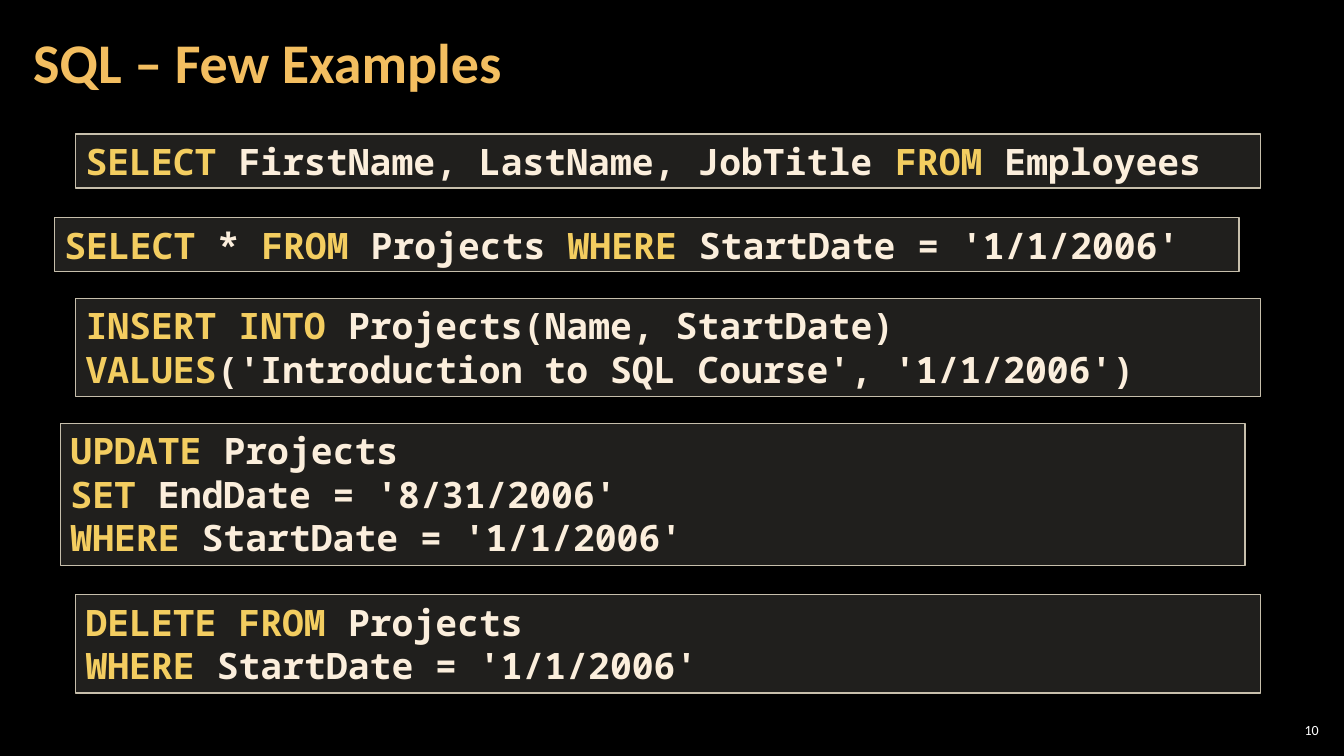
import pptx
import pptx.util
from lxml import etree
from pptx.dml.color import RGBColor
from pptx.enum.shapes import MSO_SHAPE
from pptx.enum.text import MSO_ANCHOR, MSO_AUTO_SIZE, PP_ALIGN
from pptx.oxml.ns import qn
from pptx.util import Inches

BLACK = RGBColor(0x00, 0x00, 0x00)
WHITE = RGBColor(0xFF, 0xFF, 0xFF)
TITLE_GOLD = RGBColor(0xF3, 0xBE, 0x60)
KEYWORD_GOLD = RGBColor(0xF3, 0xCD, 0x60)
CODE_CREAM = RGBColor(0xFB, 0xEE, 0xDC)
PANEL_FILL = RGBColor(0xD9, 0xD5, 0xC7)
PANEL_LINE = RGBColor(0xC7, 0xBF, 0xAC)

PANEL_WIDTH = 11.75
PANEL_PADDING = 0.1
CODE_LINE_HEIGHT = 0.437

EXAMPLES = [
    (0.75, 1.33, ["SELECT| FirstName, LastName, JobTitle |FROM| Employees"]),
    (0.54, 2.16, ["SELECT| * |FROM| Projects |WHERE| StartDate = '1/1/2006'"]),
    (0.75, 2.96, [
        "INSERT INTO| Projects(Name, StartDate)",
        "VALUES|('Introduction to SQL Course', '1/1/2006')",
    ]),
    (0.6, 4.2, [
        "UPDATE| Projects",
        "SET |EndDate = '8/31/2006'",
        "WHERE| StartDate = '1/1/2006'",
    ]),
    (0.75, 5.9, [
        "DELETE FROM| Projects",
        "WHERE| StartDate = '1/1/2006'",
    ]),
]


class SqlSlide:
    text_font = "Calibri"
    code_font = "Noto Sans Mono"
    code_size = 26

    def __init__(self, deck):
        self.page = deck.slides.add_slide(deck.slide_layouts[6])
        self.page.background.fill.solid()
        self.page.background.fill.fore_color.rgb = BLACK

    def style(self, span, font, size, color, bold):
        span.font.name = font
        span.font.size = pptx.util.Pt(size)
        span.font.color.rgb = color
        span.font.bold = bold

    def label(self, text, left, top, width, height, size, color, side_inset,
              bold=False, align=PP_ALIGN.LEFT, spacing=1.0):
        box = self.page.shapes.add_textbox(
            Inches(left), Inches(top), Inches(width), Inches(height))
        frame = box.text_frame
        frame.word_wrap = True
        frame.vertical_anchor = MSO_ANCHOR.MIDDLE
        frame.margin_left = frame.margin_right = Inches(side_inset)
        frame.margin_top = frame.margin_bottom = Inches(0.04)
        frame.text = text
        para = frame.paragraphs[0]
        para.alignment = align
        para.line_spacing = spacing
        self.style(para.runs[0], self.text_font, size, color, bold)

    def code_panel(self, left, top, lines):
        height = 2 * PANEL_PADDING / 2 + CODE_LINE_HEIGHT * len(lines)
        panel = self.page.shapes.add_shape(
            MSO_SHAPE.RECTANGLE, Inches(left), Inches(top),
            Inches(PANEL_WIDTH), Inches(height))
        panel.shadow.inherit = False
        panel.fill.solid()
        panel.fill.fore_color.rgb = PANEL_FILL
        tint = panel.fill._xPr.find(qn("a:solidFill"))[0]
        etree.SubElement(tint, qn("a:alpha")).set("val", "15000")
        panel.line.color.rgb = PANEL_LINE
        panel.line.width = pptx.util.Pt(1)
        frame = panel.text_frame
        frame.word_wrap = True
        frame.auto_size = MSO_AUTO_SIZE.SHAPE_TO_FIT_TEXT
        frame.vertical_anchor = MSO_ANCHOR.TOP
        frame.text = "\n".join(lines)
        for para, line in zip(frame.paragraphs, lines):
            self.code_line(para, line)

    def code_line(self, para, line):
        para.alignment = PP_ALIGN.LEFT
        para.text = ""
        for index, piece in enumerate(line.split("|")):
            span = para.add_run()
            span.text = piece
            color = CODE_CREAM if index % 2 else KEYWORD_GOLD
            self.style(span, self.code_font, self.code_size, color, True)


def main():
    deck = pptx.Presentation()
    deck.slide_width = Inches(13.33)
    deck.slide_height = Inches(7.5)
    slide = SqlSlide(deck)
    slide.label("SQL – Few Examples", 0.21, 0.04, 10.47, 1.21, 40,
                TITLE_GOLD, 0.12, bold=True, spacing=0.9)
    for left, top, lines in EXAMPLES:
        slide.code_panel(left, top, lines)
    slide.label("10", 12.65, 7.14, 0.47, 0.21, 10, WHITE, 0.04,
                align=PP_ALIGN.RIGHT)
    deck.save("out.pptx")


if __name__ == "__main__":
    main()
